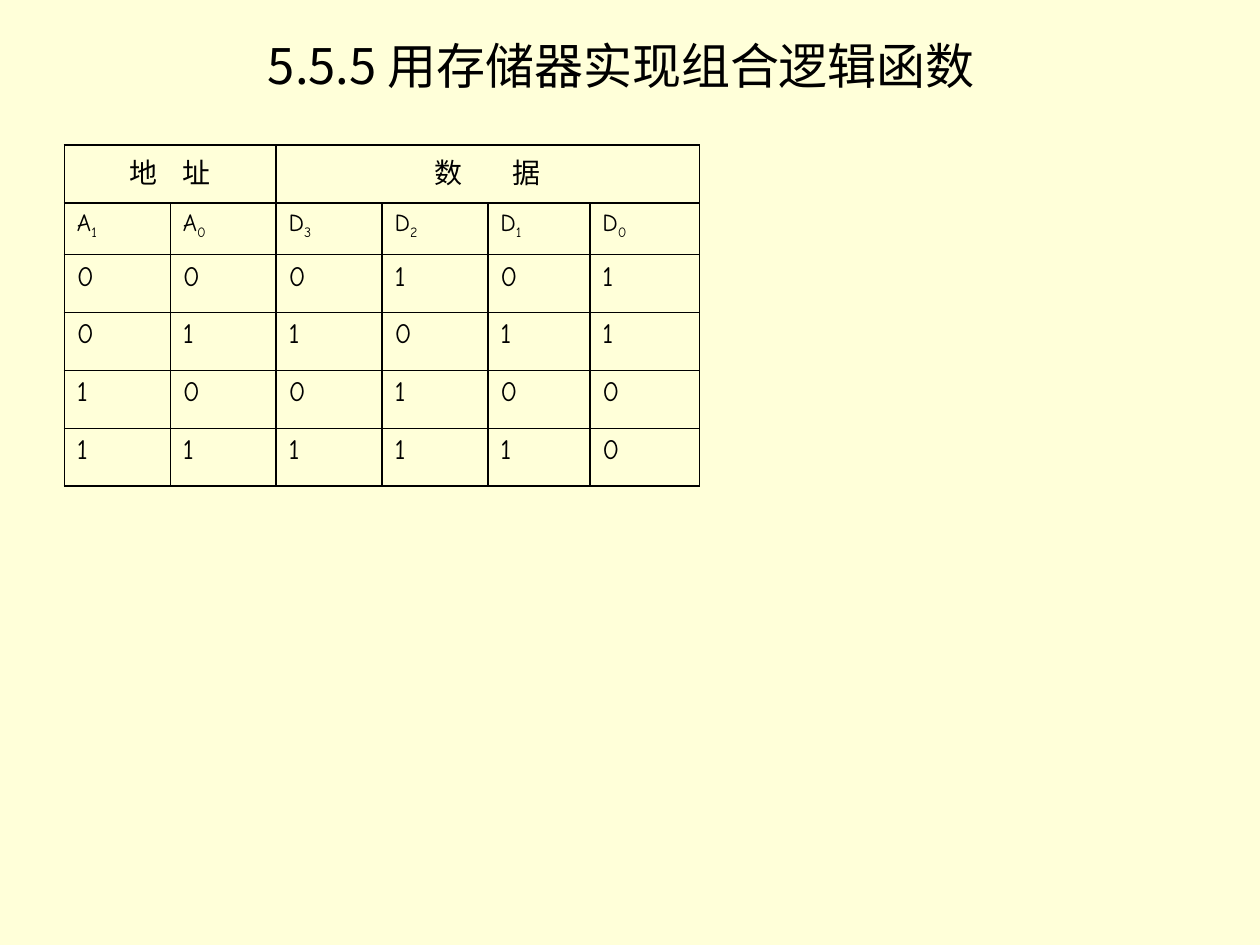
"""Build the slide on realising combinational logic functions with a memory."""
from lxml import etree
from pptx import Presentation
from pptx.dml.color import RGBColor
from pptx.enum import text
from pptx.oxml.ns import qn
from pptx.util import Pt

CREAM = RGBColor(0xFF, 0xFF, 0xD9)
BLACK = RGBColor(0, 0, 0)
SANS = "Noto Sans CJK SC"
COMIC = "Comic Neue"


def style(run, size, face):
    run.font.size = Pt(size)
    run.font.name = face
    run.font.bold = False
    run.font.color.rgb = BLACK
    east = etree.SubElement(run.font._element, qn("a:ea"))
    east.set("typeface", SANS)


def frame(cell):
    props = cell._tc.get_or_add_tcPr()
    for side in ("lnL", "lnR", "lnT", "lnB"):
        line = etree.SubElement(props, qn(f"a:{side}"), w=str(Pt(1)))
        fill = etree.SubElement(line, qn("a:solidFill"))
        etree.SubElement(fill, qn("a:srgbClr"), val=str(BLACK))
    cell.fill.background()


deck = Presentation()
deck.slide_width, deck.slide_height = Pt(720), Pt(540)
slide = deck.slides.add_slide(deck.slide_layouts[5])
slide.background.fill.solid()
slide.background.fill.fore_color.rgb = CREAM

title = slide.shapes.title
title.left, title.top, title.width, title.height = Pt(31), Pt(2), Pt(648), Pt(70)
title.text_frame.text = "5.5.5 用存储器实现组合逻辑函数"
title.text_frame.vertical_anchor = text.MSO_ANCHOR.MIDDLE
head = title.text_frame.paragraphs[0]
head.alignment = text.PP_ALIGN.CENTER
style(head.runs[0], 28, SANS)

widths = [60.5, 60.5, 60.5, 60.5, 58.3, 62.6]
heights = [33.1, 29.6, 33.1, 33.1, 33.1, 33.1]
table = slide.shapes.add_table(
    len(heights), len(widths), Pt(36.8), Pt(82.8), Pt(sum(widths)), Pt(sum(heights))
).table
table.first_row = table.horz_banding = False
for col, width in zip(table.columns, widths):
    col.width = Pt(width)
for row, height in zip(table.rows, heights):
    row.height = Pt(height)
for cell in table.iter_cells():
    frame(cell)

for first, last, word, gap in ((0, 1, "地 址", 11), (2, 5, "数 据", 25)):
    cell = table.cell(0, first)
    cell.merge(table.cell(0, last))
    para = cell.text_frame.paragraphs[0]
    para.alignment = text.PP_ALIGN.CENTER
    for char in word:
        run = para.add_run()
        run.text = char
        style(run, 16, COMIC)
        if char == " ":
            run.font._element.set("spc", str(gap * 100))

for col, name in enumerate(("A1", "A0", "D3", "D2", "D1", "D0")):
    para = table.cell(1, col).text_frame.paragraphs[0]
    for char in name:
        run = para.add_run()
        run.text = char
        style(run, 14, COMIC)
    run.font._element.set("baseline", "-25000")

for row, bits in enumerate(("000101", "011011", "100100", "111110"), 2):
    for col, bit in enumerate(bits):
        para = table.cell(row, col).text_frame.paragraphs[0]
        para.text = bit
        style(para.runs[0], 16, COMIC)

deck.save("out.pptx")
